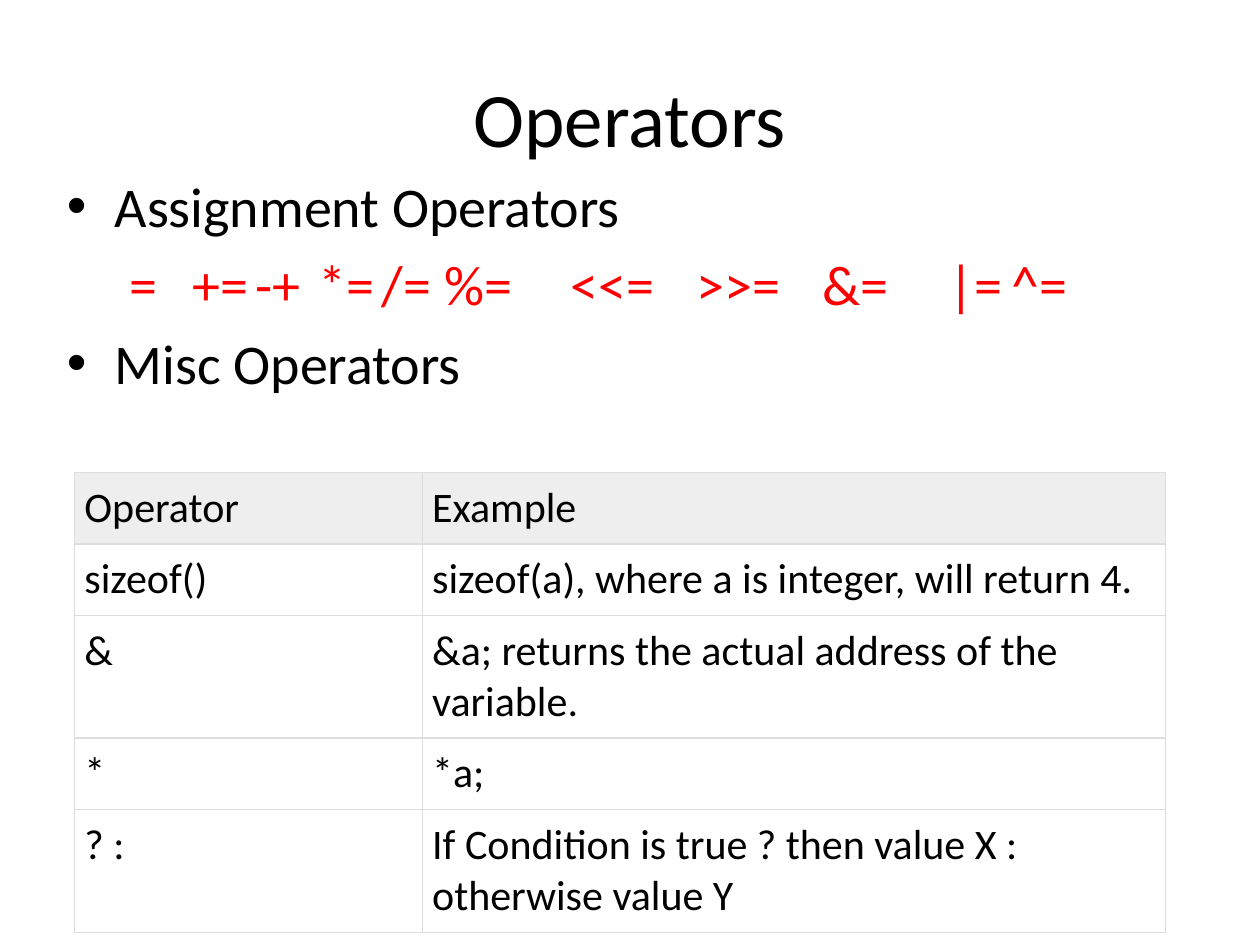
from dataclasses import dataclass

from lxml import etree
from pptx import Presentation
from pptx.dml.color import RGBColor
from pptx.enum.text import MSO_ANCHOR, PP_ALIGN
from pptx.oxml.ns import qn
from pptx.util import Inches, Pt

BLACK = RGBColor(0, 0, 0)
RED = RGBColor(0xFF, 0, 0)
WHITE = RGBColor(0xFF, 0xFF, 0xFF)
HEADER_GREY = RGBColor(0xEE, 0xEE, 0xEE)
BORDER_GREY = RGBColor(0xDD, 0xDD, 0xDD)
FONT = "Calibri"


@dataclass
class Line:
    text: str
    color: RGBColor = BLACK
    bulleted: bool = True


@dataclass
class OperatorRow:
    operator: str
    example: str
    fill: RGBColor = WHITE


ASSIGNMENTS = ["=", "+=", "-+", "*=", "/=", "%=", "<<=", ">>=", "&=", "|=", "^="]
LINES = [
    Line("Assignment Operators"),
    Line("\t" + "\t".join(ASSIGNMENTS), RED, False),
    Line("Misc Operators"),
]
ROWS = [
    OperatorRow("Operator", "Example", HEADER_GREY),
    OperatorRow("sizeof()", "sizeof(a), where a is integer, will return 4."),
    OperatorRow("&", "&a; returns the actual address of the variable."),
    OperatorRow("*", "*a;"),
    OperatorRow("? :", "If Condition is true ? then value X : otherwise value Y"),
]


def place(shape, left: float, top: float, width: float, height: float) -> None:
    shape.left, shape.top = Inches(left), Inches(top)
    shape.width, shape.height = Inches(width), Inches(height)


def add_text(paragraph, text: str, size: float, color: RGBColor) -> None:
    run = paragraph.add_run()
    run.text = text
    run.font.name = FONT
    run.font.size = Pt(size)
    run.font.bold = False
    run.font.color.rgb = color


def add_line(paragraph, line: Line) -> None:
    properties = paragraph._p.get_or_add_pPr()
    indent = Inches(0.38) if line.bulleted else 0
    properties.set("marL", str(indent))
    properties.set("indent", str(-indent))
    if line.bulleted:
        etree.SubElement(properties, qn("a:buChar")).set("char", "•")
    else:
        etree.SubElement(properties, qn("a:buNone"))
    add_text(paragraph, line.text, 32, line.color)


def add_borders(cell) -> None:
    properties = cell._tc.get_or_add_tcPr()
    for index, side in enumerate(("lnL", "lnR", "lnT", "lnB")):
        border = etree.Element(qn(f"a:{side}"), w=str(Pt(0.75)))
        fill = etree.SubElement(border, qn("a:solidFill"))
        etree.SubElement(fill, qn("a:srgbClr")).set("val", str(BORDER_GREY))
        properties.insert(index, border)


def fill_cell(cell, text: str, fill: RGBColor) -> None:
    cell.margin_left = cell.margin_right = Inches(0.08)
    cell.margin_top = cell.margin_bottom = Inches(0.08)
    cell.fill.solid()
    cell.fill.fore_color.rgb = fill
    add_text(cell.text_frame.paragraphs[0], text, 24, BLACK)
    add_borders(cell)


presentation = Presentation()
presentation.slide_width, presentation.slide_height = Inches(10), Inches(7.5)
slide = presentation.slides.add_slide(presentation.slide_layouts[1])

title = slide.shapes.title
place(title, 0.5, 0.3, 9, 1.25)
title.text_frame.vertical_anchor = MSO_ANCHOR.MIDDLE
heading = title.text_frame.paragraphs[0]
heading.alignment = PP_ALIGN.CENTER
add_text(heading, "Operators", 44, BLACK)

body = slide.placeholders[1]
place(body, 0.43, 1.31, 9.07, 5.15)
for number, line in enumerate(LINES):
    frame = body.text_frame
    add_line(frame.add_paragraph() if number else frame.paragraphs[0], line)

table = slide.shapes.add_table(
    len(ROWS), 2, Inches(0.59), Inches(3.75), Inches(8.66), Inches(0.41 * len(ROWS))
).table
table.first_row = table.horz_banding = False
for column, width in zip(table.columns, (2.76, 5.9)):
    column.width = Inches(width)
for table_row, row in zip(table.rows, ROWS):
    for cell, text in zip(table_row.cells, (row.operator, row.example)):
        fill_cell(cell, text, row.fill)

presentation.save("out.pptx")
